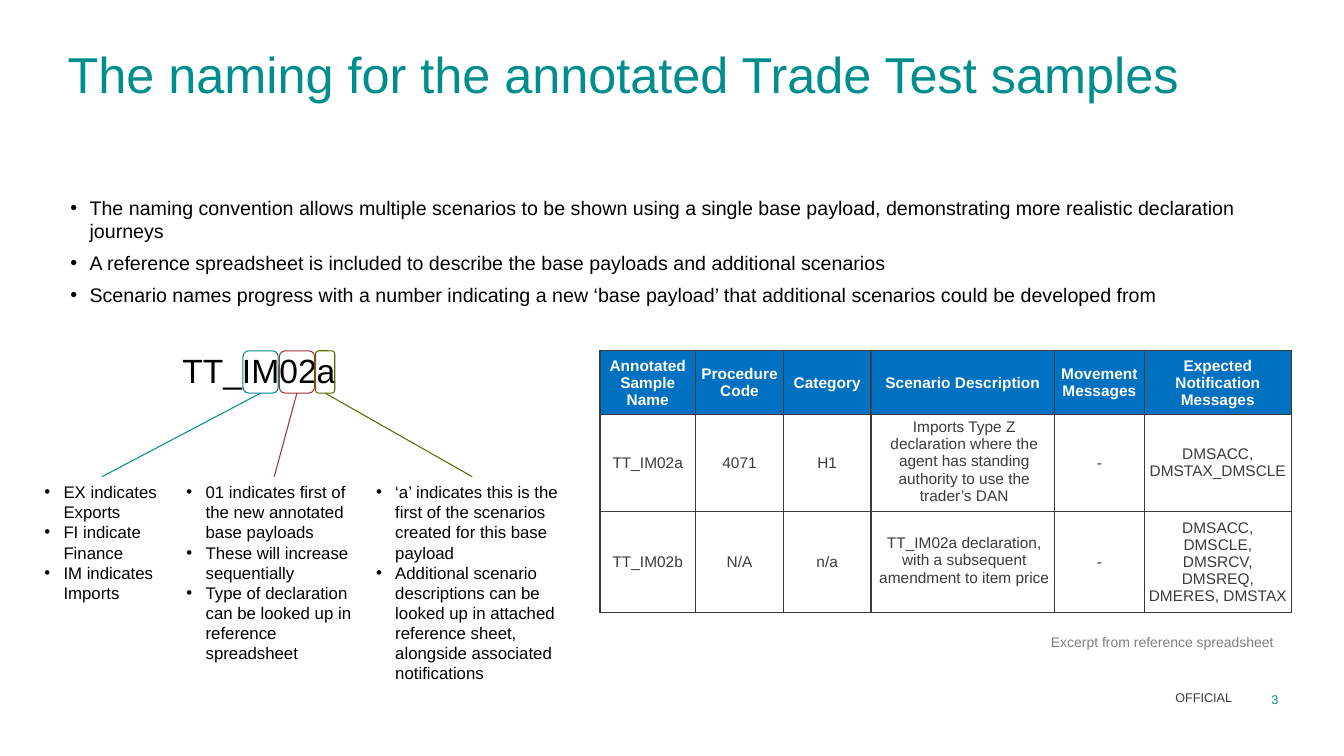
from dataclasses import dataclass

from lxml import etree
from pptx import Presentation
from pptx.dml.color import RGBColor
from pptx.enum.shapes import MSO_CONNECTOR, MSO_SHAPE
from pptx.enum.text import MSO_ANCHOR, PP_ALIGN
from pptx.oxml.ns import qn
from pptx.util import Inches, Pt

LEFT, CENTER, RIGHT = PP_ALIGN.LEFT, PP_ALIGN.CENTER, PP_ALIGN.RIGHT
TOP, MIDDLE = MSO_ANCHOR.TOP, MSO_ANCHOR.MIDDLE
ROUNDED, STRAIGHT = MSO_SHAPE.ROUNDED_RECTANGLE, MSO_CONNECTOR.STRAIGHT

# Content
TITLE = "The naming for the annotated Trade Test samples"
KEY_POINTS = [
    "The naming convention allows multiple scenarios to be shown using a single base payload, "
    "demonstrating more realistic declaration journeys",
    "A reference spreadsheet is included to describe the base payloads and additional scenarios",
    "Scenario names progress with a number indicating a new ‘base payload’ that additional "
    "scenarios could be developed from",
]
SAMPLE_NAME = "TT_IM02a"
# Each part of the name: colour, tag width, note left, note width, note height, note lines
NAME_PARTS = [
    ("008D8E", 0.35, 0.44, 1.14, 1.31,
     ["EX indicates Exports", "FI indicate Finance", "IM indicates Imports"]),
    ("9E3039", 0.35, 1.85, 1.74, 1.92,
     ["01 indicates first of the new annotated base payloads",
      "These will increase sequentially",
      "Type of declaration can be looked up in reference spreadsheet"]),
    ("576B00", 0.19, 3.73, 1.91, 2.12,
     ["‘a’ indicates this is the first of the scenarios created for this base payload",
      "Additional scenario descriptions can be looked up in attached reference sheet, "
      "alongside associated notifications"]),
]
SAMPLES = [
    ["Annotated Sample Name", "Procedure Code", "Category", "Scenario Description",
     "Movement Messages", "Expected Notification Messages"],
    ["TT_IM02a", "4071", "H1",
     "Imports Type Z declaration where the agent has standing authority to use the trader’s DAN",
     "-", "DMSACC, DMSTAX_DMSCLE"],
    ["TT_IM02b", "N/A", "n/a",
     "TT_IM02a declaration, with a subsequent amendment to item price",
     "-", "DMSACC, DMSCLE, DMSRCV, DMSREQ, DMERES, DMSTAX"],
]
CAPTION = "Excerpt from reference spreadsheet"
MARKING = "OFFICIAL"
PAGE = "3"


@dataclass(frozen=True)
class Theme:
    font: str = "Arial"
    accent: str = "008D8E"
    ink: str = "000000"
    grey_ink: str = "3B3A3D"
    caption: str = "808080"
    header: str = "0070C0"
    white: str = "FFFFFF"
    title_size: int = 36
    name_size: int = 24
    point_size: int = 14
    note_size: int = 12
    table_size: int = 11
    caption_size: int = 10
    footer_size: int = 9


THEME = Theme()

# Layout in inches
DIAGRAM_TOP, TAG_HEIGHT, TAG_LEFT, TAG_PITCH = 3.48, 0.42, 2.41, 0.36
NOTES_TOP = 4.73
TABLE_LEFT = 5.95
COLUMNS = [0.95, 0.87, 0.87, 1.82, 0.89, 1.46]
ROWS = [0.63, 0.96, 0.99]
BULLET_INDENT = 0.19
TEXT_INSETS = (0.1, 0.05, 0.1, 0.05)
NO_INSETS = (0, 0, 0, 0)
CELL_INSETS = (0.01, 0.01, 0.01, 0)
BODY_INSETS = {3: (0.04, 0.01, 0.01, 0.04), 5: (0.04, 0.04, 0.04, 0.04)}


def rgb(color):
    return RGBColor.from_string(color)


def set_insets(target, insets):
    (target.margin_left, target.margin_top,
     target.margin_right, target.margin_bottom) = map(Inches, insets)


def write(frame, lines, size, color, align=LEFT, bold=False, bullets=False, after=0):
    frame.text = "\n".join(lines)
    for paragraph in frame.paragraphs:
        paragraph.alignment = align
        paragraph.space_after = Pt(after)
        for run in paragraph.runs:
            run.font.name, run.font.size, run.font.bold = THEME.font, Pt(size), bold
            run.font.color.rgb = rgb(color)
        if bullets:
            properties = paragraph._p.get_or_add_pPr()
            properties.set("marL", str(Inches(BULLET_INDENT)))
            properties.set("indent", str(-Inches(BULLET_INDENT)))
            etree.SubElement(properties, qn("a:buFont")).set("typeface", THEME.font)
            etree.SubElement(properties, qn("a:buChar")).set("char", "•")


def add_text(slide, box, lines, size, color, insets=TEXT_INSETS, anchor=TOP, wrap=True, **style):
    frame = slide.shapes.add_textbox(*map(Inches, box)).text_frame
    frame.word_wrap, frame.vertical_anchor = wrap, anchor
    set_insets(frame, insets)
    write(frame, lines, size, color, **style)


def add_name_part(slide, index, part):
    color, tag_width, note_left, note_width, note_height, lines = part
    tag_left = TAG_LEFT + index * TAG_PITCH
    tag = slide.shapes.add_shape(
        ROUNDED, *map(Inches, (tag_left, DIAGRAM_TOP, tag_width, TAG_HEIGHT)))
    tag.shadow.inherit = False
    tag.fill.background()

    # The leader runs from the middle of the tag to the middle of its note
    leader = slide.shapes.add_connector(STRAIGHT, *map(Inches, (
        tag_left + tag_width / 2, DIAGRAM_TOP + TAG_HEIGHT,
        note_left + note_width / 2, NOTES_TOP)))
    for outline in (tag.line, leader.line):
        outline.color.rgb = rgb(color)
        outline.width = Pt(0.75)
    etree.SubElement(leader._element.spPr, qn("a:effectLst"))

    add_text(slide, (note_left, NOTES_TOP, note_width, note_height), lines,
             THEME.note_size, THEME.ink, insets=(0, 0.05, 0, 0.05), bullets=True)


def add_borders(cell):
    properties = cell._tc.get_or_add_tcPr()
    for position, side in enumerate(("a:lnL", "a:lnR", "a:lnT", "a:lnB")):
        border = etree.Element(qn(side), w=str(Pt(1)))
        fill = etree.SubElement(border, qn("a:solidFill"))
        etree.SubElement(fill, qn("a:srgbClr")).set("val", THEME.grey_ink)
        properties.insert(position, border)


def add_samples(slide):
    table = slide.shapes.add_table(
        len(ROWS), len(COLUMNS),
        *map(Inches, (TABLE_LEFT, DIAGRAM_TOP, sum(COLUMNS), sum(ROWS)))).table
    table.first_row = table.horz_banding = False
    for column, width in zip(table.columns, COLUMNS):
        column.width = Inches(width)
    for row, height in zip(table.rows, ROWS):
        row.height = Inches(height)
    for r, values in enumerate(SAMPLES):
        is_header = r == 0
        for c, value in enumerate(values):
            cell = table.cell(r, c)
            cell.vertical_anchor = MIDDLE
            set_insets(cell, CELL_INSETS if is_header else BODY_INSETS.get(c, CELL_INSETS))
            write(cell.text_frame, [value], THEME.table_size,
                  THEME.white if is_header else THEME.grey_ink, align=CENTER, bold=is_header)
            if is_header:
                cell.fill.solid()
                cell.fill.fore_color.rgb = rgb(THEME.header)
            else:
                cell.fill.background()
            add_borders(cell)


def main():
    deck = Presentation()
    deck.slide_width, deck.slide_height = Inches(13.33), Inches(7.5)
    slide = deck.slides.add_slide(deck.slide_layouts[5])

    # Title
    title = slide.shapes.title
    title.left, title.top, title.width, title.height = map(Inches, (0.67, 0.47, 12, 0.91))
    title.text_frame.vertical_anchor = TOP
    set_insets(title.text_frame, NO_INSETS)
    write(title.text_frame, [TITLE], THEME.title_size, THEME.accent, after=6)
    title.text_frame.paragraphs[0].line_spacing = Pt(40)

    # Key points
    add_text(slide, (0.6, 1.89, 12.21, 1.85), KEY_POINTS, THEME.point_size, THEME.ink,
             bullets=True, after=6)

    # Sample name and what its parts mean
    add_text(slide, (1.71, 3.42, 1.74, 0.5), [SAMPLE_NAME], THEME.name_size, THEME.ink,
             wrap=False)
    for index, part in enumerate(NAME_PARTS):
        add_name_part(slide, index, part)

    # Spreadsheet excerpt
    add_samples(slide)
    add_text(slide, (10.3, 6.24, 2.5, 0.27), [CAPTION], THEME.caption_size, THEME.caption,
             insets=(0, 0.05, 0.17, 0.05), align=RIGHT)

    # Footer
    add_text(slide, (2.41, 6.81, 9.81, 0.22), [MARKING], THEME.footer_size, THEME.grey_ink,
             insets=NO_INSETS, anchor=MIDDLE, align=RIGHT)
    add_text(slide, (12.34, 6.86, 0.34, 0.15), [PAGE], THEME.footer_size, THEME.accent,
             insets=NO_INSETS, align=RIGHT)

    deck.save("out.pptx")


if __name__ == "__main__":
    main()
